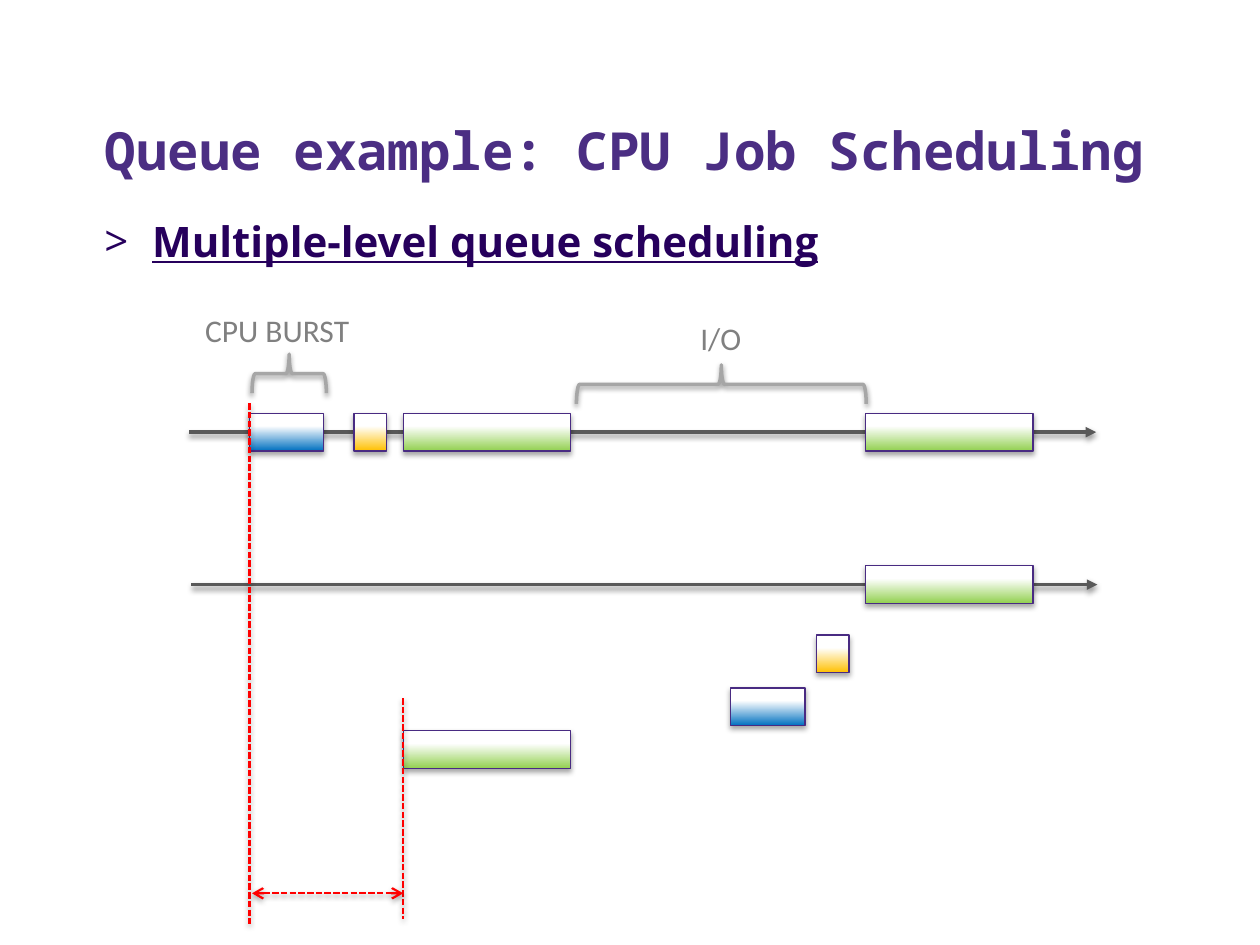
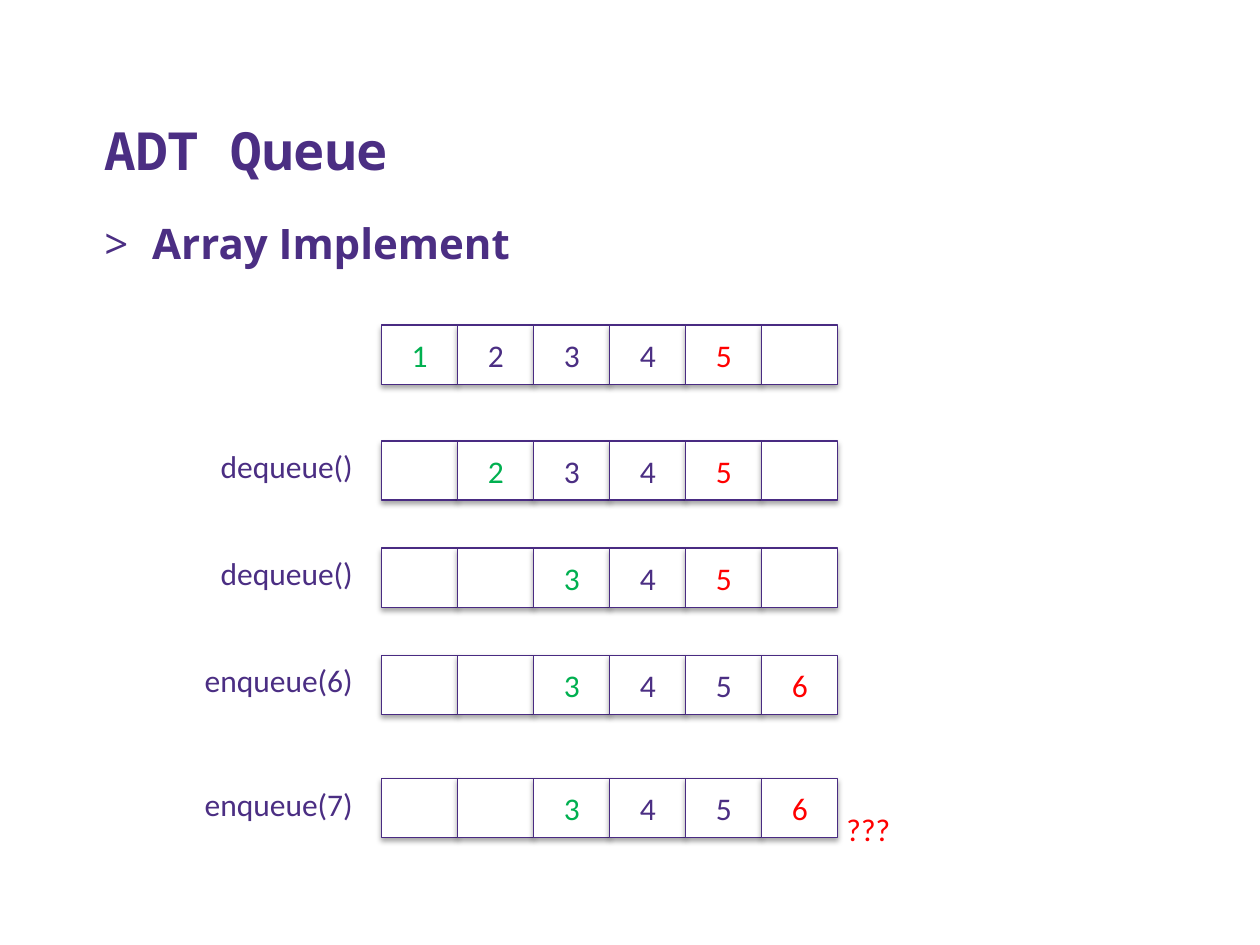
from lxml import etree
from pptx import Presentation
from pptx.dml.color import RGBColor
from pptx.enum.dml import MSO_LINE
from pptx.enum.shapes import MSO_CONNECTOR, MSO_SHAPE
from pptx.enum.text import MSO_ANCHOR, MSO_AUTO_SIZE, PP_ALIGN
from pptx.oxml.ns import qn
from pptx.util import Inches, Pt

STRAIGHT = MSO_CONNECTOR.STRAIGHT
RECTANGLE, BRACE = MSO_SHAPE.RECTANGLE, MSO_SHAPE.RIGHT_BRACE
TOP, MIDDLE, BOTTOM = MSO_ANCHOR.TOP, MSO_ANCHOR.MIDDLE, MSO_ANCHOR.BOTTOM
LEFT, CENTER, RIGHT = PP_ALIGN.LEFT, PP_ALIGN.CENTER, PP_ALIGN.RIGHT
DASH = MSO_LINE.SQUARE_DOT
NO_AUTOFIT = MSO_AUTO_SIZE.NONE

PURPLE = RGBColor(0x4B, 0x2E, 0x83)
DEEP_PURPLE = RGBColor(0x26, 0x00, 0x5C)
OUTLINE = RGBColor(0x49, 0x2B, 0x82)
AXIS_GRAY = RGBColor(0x59, 0x59, 0x59)
BRACE_GRAY = RGBColor(0xA6, 0xA6, 0xA6)
LABEL_GRAY = RGBColor(0x80, 0x80, 0x80)
WHITE = RGBColor(0xFF, 0xFF, 0xFF)
RED = RGBColor(0xFF, 0x00, 0x00)
FRONT_GREEN = RGBColor(0x00, 0xB0, 0x50)
JOB_GREEN = RGBColor(0x92, 0xD0, 0x50)
JOB_BLUE = RGBColor(0x00, 0x70, 0xC0)
JOB_ORANGE = RGBColor(0xFF, 0xC0, 0x00)

TITLE_FONT, HEADING_FONT, LABEL_FONT = "Noto Sans Mono", "Open Sans", "Calibri"

JOB_HEIGHT = 0.3
JOB_KINDS = {
    "long": (1.33, JOB_GREEN),
    "medium": (0.59, JOB_BLUE),
    "short": (0.26, JOB_ORANGE),
}
TIMELINES = [(1.5, 8.7, 3.43), (1.52, 8.71, 4.64)]
JOBS = [
    ("long", 3.2, 3.28), ("medium", 1.98, 3.28), ("long", 6.87, 3.28), ("short", 2.81, 3.28),
    ("long", 6.87, 4.49), ("short", 6.48, 5.04), ("medium", 5.8, 5.46), ("long", 3.2, 5.8),
]
SPANS = [
    ("I/O", (5.46, 2.48, 0.6), (5.57, 1.9, 0.31, 2.3)),
    ("CPU BURST", (1.53, 2.42, 1.78), (2.14, 2.67, 0.31, 0.59)),
]
WAIT_MARKS = [
    ((1.98, 3.2), (1.98, 7.33), {}),
    ((3.2, 5.54), (3.2, 7.29), {}),
    ((2, 7.09), (3.2, 7.09), {"head": "arrow", "tail": "arrow"}),
]

ARRAY_LEFT, ARRAY_WIDTH, CELL_HEIGHT = 3.03, 3.62, 0.47
QUEUE_STEPS = [
    ("", 2.58, ["1", "2", "3", "4", "5", ""]),
    ("dequeue()", 3.5, ["", "2", "3", "4", "5", ""]),
    ("dequeue()", 4.35, ["", "", "3", "4", "5", ""]),
    ("enqueue(6)", 5.2, ["", "", "3", "4", "5", "6"]),
    ("enqueue(7)", 6.18, ["", "", "3", "4", "5", "6"]),
]


def write(frame, text, font=LABEL_FONT, size=18, color=PURPLE, bold=False,
          underline=False, align=LEFT, anchor=TOP, bullet=None):
    frame.word_wrap = True
    frame.auto_size = NO_AUTOFIT
    frame.vertical_anchor = anchor
    paragraph = frame.paragraphs[0]
    paragraph.alignment = align
    if bullet:
        properties = paragraph._p.get_or_add_pPr()
        properties.set("marL", str(Inches(0.38)))
        properties.set("indent", str(-Inches(0.38)))
        etree.SubElement(properties, qn("a:buFont"), typeface=font)
        etree.SubElement(properties, qn("a:buChar"), char=bullet)
    run = paragraph.add_run()
    run.text = text
    run.font.name = font
    run.font.size = Pt(size)
    run.font.bold = bold
    run.font.underline = underline
    run.font.color.rgb = color


def add_label(slide, text, left, top, width, height=0.4, **style):
    box = slide.shapes.add_textbox(Inches(left), Inches(top), Inches(width), Inches(height))
    write(box.text_frame, text, **style)


def add_shadow(effects, opacity, distance):
    shadow = etree.SubElement(
        effects, qn("a:outerShdw"), blurRad=str(Pt(3.1)), dist=str(Pt(distance)),
        dir="5400000", rotWithShape="0")
    color = etree.SubElement(shadow, qn("a:srgbClr"), val="000000")
    etree.SubElement(color, qn("a:alpha"), val=str(opacity * 1000))


def add_line(slide, start, end, color, width, dash=None, head=None, tail=None):
    line = slide.shapes.add_connector(STRAIGHT, *map(Inches, start + end))
    line.line.color.rgb = color
    line.line.width = Pt(width)
    if dash:
        line.line.dash_style = dash
    for tag, arrow in (("a:headEnd", head), ("a:tailEnd", tail)):
        if arrow:
            etree.SubElement(line.line._get_or_add_ln(), qn(tag), type=arrow)
    add_shadow(etree.SubElement(line._element.spPr, qn("a:effectLst")), 38, 1.6)


def add_outlined(shapes, preset, box, color=OUTLINE, width=0.75, opacity=35, distance=1.8):
    shape = shapes.add_shape(preset, *map(Inches, box))
    shape.line.color.rgb = color
    shape.line.width = Pt(width)
    shape.shadow.inherit = False
    add_shadow(shape._element.spPr.find(qn("a:effectLst")), opacity, distance)
    return shape


def add_job(slide, kind, left, top):
    width, color = JOB_KINDS[kind]
    job = add_outlined(slide.shapes, RECTANGLE, (left, top, width, JOB_HEIGHT))
    job.fill.gradient()
    job.fill.gradient_angle = 90
    for stop, (position, tint) in zip(job.fill.gradient_stops, ((0, color), (0.66, WHITE))):
        stop.position = position
        stop.color.rgb = tint


def add_span(slide, label, label_place, brace_box):
    brace = add_outlined(slide.shapes, BRACE, brace_box, BRACE_GRAY, 2, 38, 1.6)
    brace.fill.background()
    brace.rotation = 270
    add_label(slide, label, *label_place, color=LABEL_GRAY)


def add_queue_step(slide, call, top, values):
    shapes = slide.shapes
    if call:
        add_label(slide, call, 1.4, top, 1.5, align=RIGHT)
        shapes = slide.shapes.add_group_shape().shapes
    stored = [value for value in values if value]
    ends = {stored[0]: FRONT_GREEN, stored[-1]: RED}
    cell_width = ARRAY_WIDTH / len(values)
    for index, value in enumerate(values):
        left = ARRAY_LEFT + index * cell_width
        cell = add_outlined(shapes, RECTANGLE, (left, top, cell_width, CELL_HEIGHT))
        cell.fill.solid()
        cell.fill.fore_color.rgb = WHITE
        if value:
            write(cell.text_frame, value, color=ends.get(value, PURPLE),
                  align=CENTER, anchor=MIDDLE)


def add_slide(deck, title, heading, heading_top, **heading_style):
    slide = deck.slides.add_slide(deck.slide_layouts[5])
    holder = slide.shapes.title
    holder.left, holder.top, holder.width, holder.height = map(Inches, (0.73, 0.41, 8.95, 1.08))
    write(holder.text_frame, title, font=TITLE_FONT, size=30, bold=True, anchor=BOTTOM)
    add_label(slide, heading, 0.73, heading_top, 8.95, 0.6, font=HEADING_FONT,
              size=24, bold=True, bullet=">", **heading_style)
    return slide


def add_scheduling_slide(deck):
    slide = add_slide(deck, "Queue example: CPU Job Scheduling",
                      "Multiple-level queue scheduling", 1.66,
                      color=DEEP_PURPLE, underline=True)
    for start, end, y in TIMELINES:
        add_line(slide, (start, y), (end, y), AXIS_GRAY, 2, tail="triangle")
    for job in JOBS:
        add_job(slide, *job)
    for span in SPANS:
        add_span(slide, *span)
    for start, end, arrows in WAIT_MARKS:
        add_line(slide, start, end, RED, 1.25, dash=DASH, **arrows)


def add_array_slide(deck):
    slide = add_slide(deck, "ADT Queue", "Array Implement", 1.68)
    for step in QUEUE_STEPS:
        add_queue_step(slide, *step)
    add_label(slide, "???", 6.62, 6.38, 0.6, color=RED)


def main():
    deck = Presentation()
    deck.slide_width, deck.slide_height = Inches(10), Inches(7.5)
    add_scheduling_slide(deck)
    add_array_slide(deck)
    deck.save("out.pptx")


if __name__ == "__main__":
    main()
